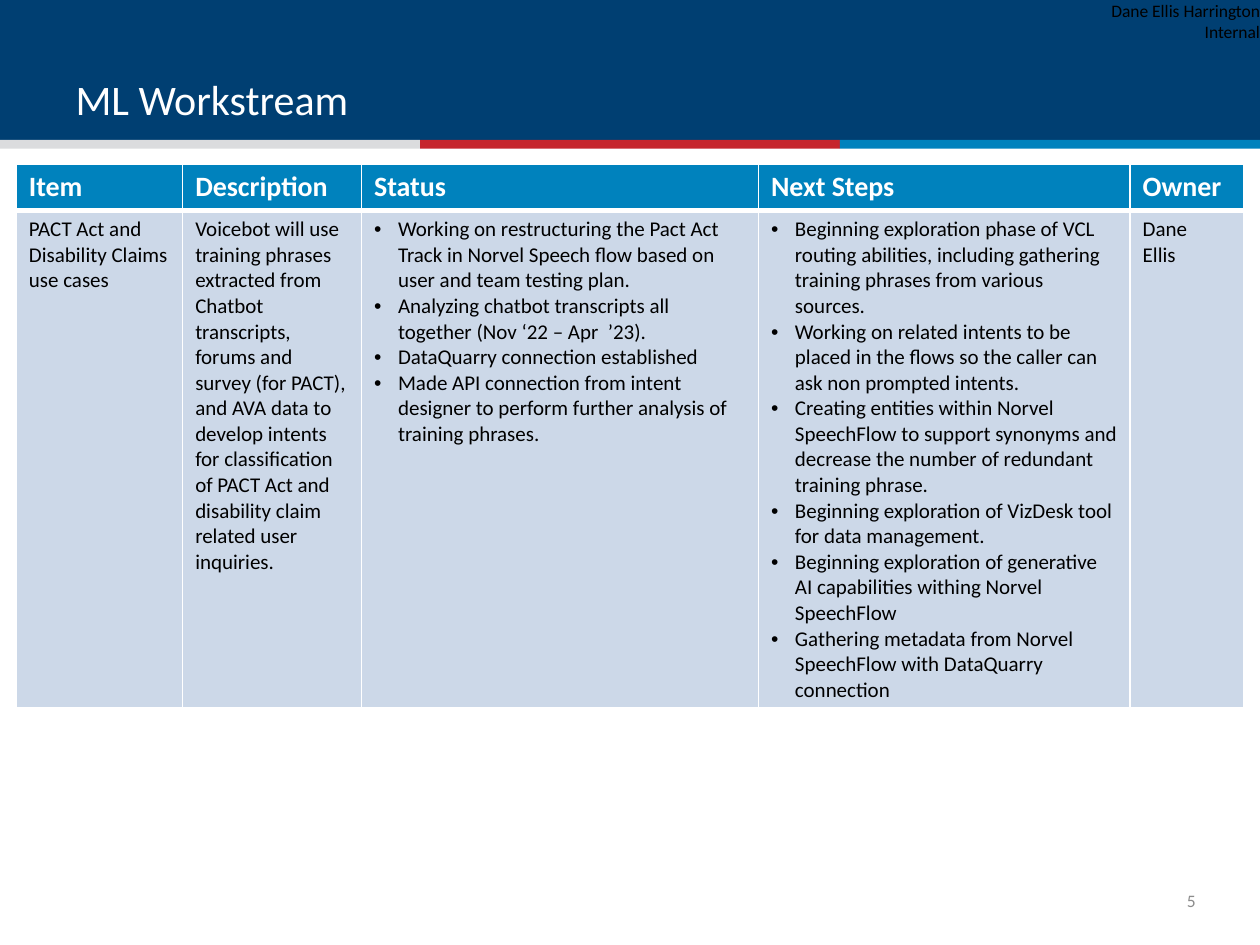
from dataclasses import dataclass

from lxml.etree import SubElement
from pptx import Presentation
from pptx.dml.color import RGBColor
from pptx.enum.shapes import MSO_SHAPE
from pptx.enum.text import MSO_ANCHOR, PP_ALIGN
from pptx.oxml.ns import qn
from pptx.util import Inches, Pt


@dataclass(frozen=True)
class Theme:
    font: str = "Calibri"
    bullet_font: str = "Arial"
    navy: str = "003F72"
    gray: str = "DBDCDE"
    red: str = "C6262D"
    blue: str = "0082BD"
    pale: str = "CCD8E8"
    white: str = "FFFFFF"
    black: str = "000000"
    muted: str = "8C8C8C"
    title_size: int = 24
    header_size: int = 16
    body_size: int = 12
    small_size: int = 10


THEME = Theme()
COLUMN_WIDTHS = [1.32, 1.42, 3.15, 2.95, 0.9]
ROW_HEIGHTS = [0.37, 3.95]
HEADERS = ["Item", "Description", "Status", "Next Steps", "Owner"]
ITEM = ["PACT Act and Disability Claims use cases"]
DESCRIPTION = [
    "Voicebot will use training phrases extracted from Chatbot transcripts, forums "
    "and survey (for PACT), and AVA data to develop intents for classification of "
    "PACT Act and disability claim related user inquiries."
]
STATUS = [
    "Working on restructuring the Pact Act Track in Norvel Speech flow based on "
    "user and team testing plan.",
    "Analyzing chatbot transcripts all together (Nov ‘22 – Apr  ’23).",
    "DataQuarry connection established",
    "Made API connection from intent designer to perform further analysis of "
    "training phrases.",
]
NEXT_STEPS = [
    "Beginning exploration phase of VCL routing abilities, including gathering "
    "training phrases from various sources.",
    "Working on related intents to be placed in the flows so the caller can ask "
    "non prompted intents.",
    "Creating entities within Norvel SpeechFlow to support synonyms and decrease "
    "the number of redundant training phrase.",
    "Beginning exploration of VizDesk tool for data management.",
    "Beginning exploration of generative AI capabilities withing Norvel SpeechFlow",
    "Gathering metadata from Norvel SpeechFlow with DataQuarry connection",
]
OWNER = ["Dane", "Ellis"]
BULLETED = (STATUS, NEXT_STEPS)


def format_font(font, size, color, bold=False):
    for name, value in {"name": THEME.font, "size": Pt(size), "bold": bold}.items():
        setattr(font, name, value)
    font.color.rgb = RGBColor.from_string(color)


def add_bar(slide, left, top, width, height, color):
    """Add a plain filled bar behind the title."""
    bar = slide.shapes.add_shape(
        MSO_SHAPE.RECTANGLE, Inches(left), Inches(top), Inches(width), Inches(height)
    )
    bar.shadow.inherit = False
    bar.fill.solid()
    bar.fill.fore_color.rgb = RGBColor.from_string(color)
    bar.line.fill.background()
    slide.shapes.title.element.addprevious(bar.element)


def add_banner(slide):
    add_bar(slide, 0, 0, 10, 1.14, THEME.navy)
    stripe_width = 10 / 3
    for index, color in enumerate([THEME.gray, THEME.red, THEME.blue]):
        add_bar(slide, index * stripe_width, 1.11, stripe_width, 0.07, color)


def set_title(slide, text):
    title = slide.shapes.title
    place = {"left": 0.5, "top": 0.14, "width": 9, "height": 0.89}
    for name, value in place.items():
        setattr(title, name, Inches(value))
    title.text_frame.text = text
    title.text_frame.vertical_anchor = MSO_ANCHOR.BOTTOM
    paragraph = title.text_frame.paragraphs[0]
    paragraph.alignment = PP_ALIGN.LEFT
    format_font(paragraph.font, THEME.title_size, THEME.white)


def add_label(slide, text, left, top, width, height, color, **layout):
    """Add a small one-line label without insets."""
    label = slide.shapes.add_textbox(
        Inches(left), Inches(top), Inches(width), Inches(height)
    )
    frame = label.text_frame
    for side in ("left", "top", "right", "bottom"):
        setattr(frame, f"margin_{side}", 0)
    frame.vertical_anchor = layout.get("anchor", MSO_ANCHOR.TOP)
    paragraph = frame.paragraphs[0]
    paragraph.text = text
    paragraph.alignment = layout.get("align", PP_ALIGN.LEFT)
    format_font(paragraph.font, THEME.small_size, color)


def add_bullet(paragraph):
    properties = paragraph._p.get_or_add_pPr()
    properties.set("marL", str(Inches(0.19)))
    properties.set("indent", str(Inches(-0.19)))
    bullet_color = SubElement(properties, qn("a:buClr"))
    SubElement(bullet_color, qn("a:srgbClr"), val=THEME.black)
    SubElement(properties, qn("a:buFont"), typeface=THEME.bullet_font)
    SubElement(properties, qn("a:buChar"), char="•")


def set_borders(cell, top, bottom):
    """Draw white cell borders; top and bottom widths are in points."""
    properties = cell._tc.get_or_add_tcPr()
    for side, width in {"L": 1, "R": 1, "T": top, "B": bottom}.items():
        border = SubElement(properties, qn(f"a:ln{side}"), w=str(Pt(width)))
        fill = SubElement(border, qn("a:solidFill"))
        SubElement(fill, qn("a:srgbClr"), val=THEME.white)


def fill_cell(cell, lines, fill, size, color, bold=False):
    cell.fill.solid()
    cell.fill.fore_color.rgb = RGBColor.from_string(fill)
    cell.text = "\n".join(lines)
    for paragraph in cell.text_frame.paragraphs:
        if lines in BULLETED:
            add_bullet(paragraph)
        format_font(paragraph.font, size, color, bold)


def add_workstream_table(slide):
    table = slide.shapes.add_table(
        len(ROW_HEIGHTS), len(COLUMN_WIDTHS), Inches(0.13), Inches(1.3),
        Inches(sum(COLUMN_WIDTHS)), Inches(sum(ROW_HEIGHTS)),
    ).table
    table.first_row = table.horz_banding = False
    for column, width in zip(table.columns, COLUMN_WIDTHS):
        column.width = Inches(width)
    for row, height in zip(table.rows, ROW_HEIGHTS):
        row.height = Inches(height)
    details = [ITEM, DESCRIPTION, STATUS, NEXT_STEPS, OWNER]
    for index, (header, lines) in enumerate(zip(HEADERS, details)):
        header_cell, detail_cell = table.cell(0, index), table.cell(1, index)
        set_borders(header_cell, top=1, bottom=3)
        fill_cell(header_cell, [header], THEME.blue, THEME.header_size, THEME.white, True)
        set_borders(detail_cell, top=3, bottom=1)
        fill_cell(detail_cell, lines, THEME.pale, THEME.body_size, THEME.black)


def main():
    deck = Presentation()
    deck.slide_width, deck.slide_height = Inches(10), Inches(7.5)
    slide = deck.slides.add_slide(deck.slide_layouts[5])
    add_banner(slide)
    set_title(slide, "ML Workstream")
    add_label(slide, "Dane Ellis Harrington Internal", 8.38, 0, 1.62, 0.17,
              THEME.black, align=PP_ALIGN.RIGHT)
    add_label(slide, "5", 9.22, 6.95, 0.27, 0.4, THEME.muted,
              align=PP_ALIGN.RIGHT, anchor=MSO_ANCHOR.MIDDLE)
    add_workstream_table(slide)
    deck.save("out.pptx")


if __name__ == "__main__":
    main()
